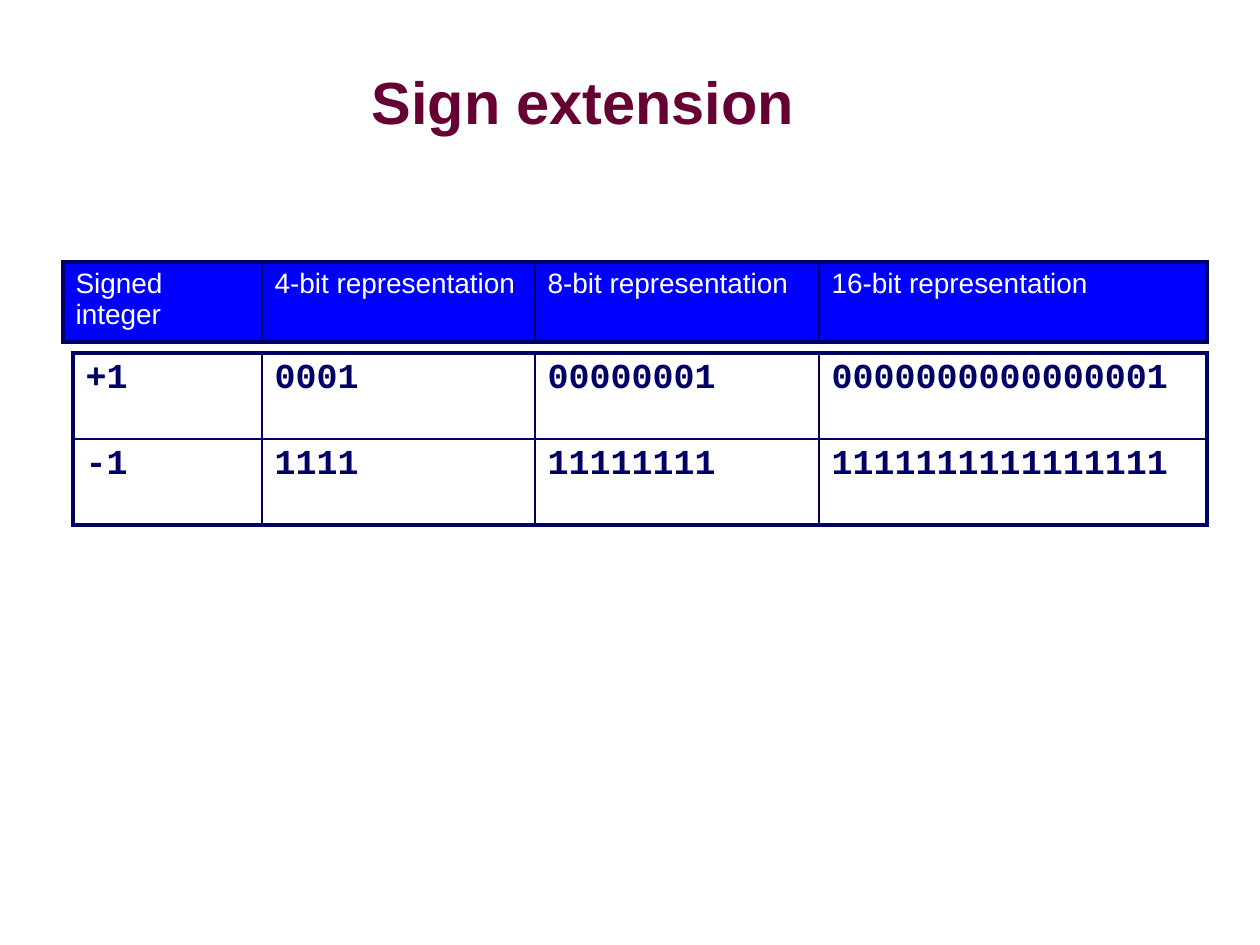
from dataclasses import dataclass
from typing import Optional

from lxml import etree
from pptx import Presentation
from pptx.dml.color import RGBColor
from pptx.enum.text import MSO_ANCHOR, PP_ALIGN
from pptx.oxml.ns import qn
from pptx.util import Emu, Pt

MIDDLE, CENTER = MSO_ANCHOR.MIDDLE, PP_ALIGN.CENTER
EMU_PER_PIXEL = 914400 / 126
NAVY, BLUE, WHITE, MAROON = "000066", "0000FF", "FFFFFF", "660033"
THIN, THICK = 1, 2.25
RIGHT_EDGE = 1207
SHARED_WIDTHS = [273, 284, 388]


@dataclass
class TextStyle:
    font: str
    size: int
    color: str
    bold: bool = False


@dataclass
class Grid:
    top: int
    first_width: int
    row_height: int
    style: TextStyle
    fill: Optional[str]
    rows: list[list[str]]


def px(pixels: int) -> Emu:
    return Emu(round(pixels * EMU_PER_PIXEL))


def rgb(color: str) -> RGBColor:
    return RGBColor.from_string(color)


def style_paragraph(paragraph, style: TextStyle) -> None:
    font = paragraph.font
    font.name, font.size, font.bold = style.font, Pt(style.size), style.bold
    font.color.rgb = rgb(style.color)


def add_borders(cell, outer_sides: dict[str, bool]) -> None:
    properties = cell._tc.get_or_add_tcPr()
    for index, (side, is_outer) in enumerate(outer_sides.items()):
        width = Pt(THICK if is_outer else THIN)
        line = etree.Element(qn(f"a:ln{side}"), w=str(width))
        solid = etree.SubElement(line, qn("a:solidFill"))
        etree.SubElement(solid, qn("a:srgbClr"), val=NAVY)
        properties.insert(index, line)


def add_grid(slide, grid: Grid) -> None:
    widths = [grid.first_width, *SHARED_WIDTHS]
    last_row, last_column = len(grid.rows) - 1, len(widths) - 1
    table = slide.shapes.add_table(
        len(grid.rows), len(widths), px(RIGHT_EDGE - sum(widths)), px(grid.top),
        px(sum(widths)), px(grid.row_height * len(grid.rows))).table
    table.first_row = table.horz_banding = False
    for column, width in zip(table.columns, widths):
        column.width = px(width)
    for r, values in enumerate(grid.rows):
        table.rows[r].height = px(grid.row_height)
        for c, value in enumerate(values):
            cell = table.cell(r, c)
            cell.text = value
            style_paragraph(cell.text_frame.paragraphs[0], grid.style)
            if grid.fill:
                cell.fill.solid()
                cell.fill.fore_color.rgb = rgb(grid.fill)
            else:
                cell.fill.background()
            add_borders(cell, {"L": c == 0, "R": c == last_column,
                               "T": r == 0, "B": r == last_row})


def add_title(slide, text: str, style: TextStyle) -> None:
    frame = slide.shapes.add_textbox(px(63), px(16), px(1040), px(179)).text_frame
    frame.word_wrap = True
    frame.vertical_anchor = MIDDLE
    frame.margin_left = frame.margin_right = frame.margin_top = frame.margin_bottom = 0
    title = frame.paragraphs[0]
    title.text = text
    title.alignment = CENTER
    title.line_spacing = 0.87
    style_paragraph(title, style)


GRIDS = [
    # Column headings
    Grid(262, 199, 58, TextStyle("Arial", 16, WHITE), BLUE,
         [["Signed integer"] + [f"{bits}-bit representation" for bits in (4, 8, 16)]]),
    # Bit patterns
    Grid(353, 189, 86, TextStyle("Courier New", 20, NAVY, True), None,
         [["+1", "0001", "00000001", "0000000000000001"],
          ["-1", "1111", "11111111", "1111111111111111"]]),
]

presentation = Presentation()
presentation.slide_width, presentation.slide_height = px(1260), px(945)
slide = presentation.slides.add_slide(presentation.slide_layouts[6])
add_title(slide, "Sign extension", TextStyle("Arial", 34, MAROON, True))
for grid in GRIDS:
    add_grid(slide, grid)
presentation.save("out.pptx")
